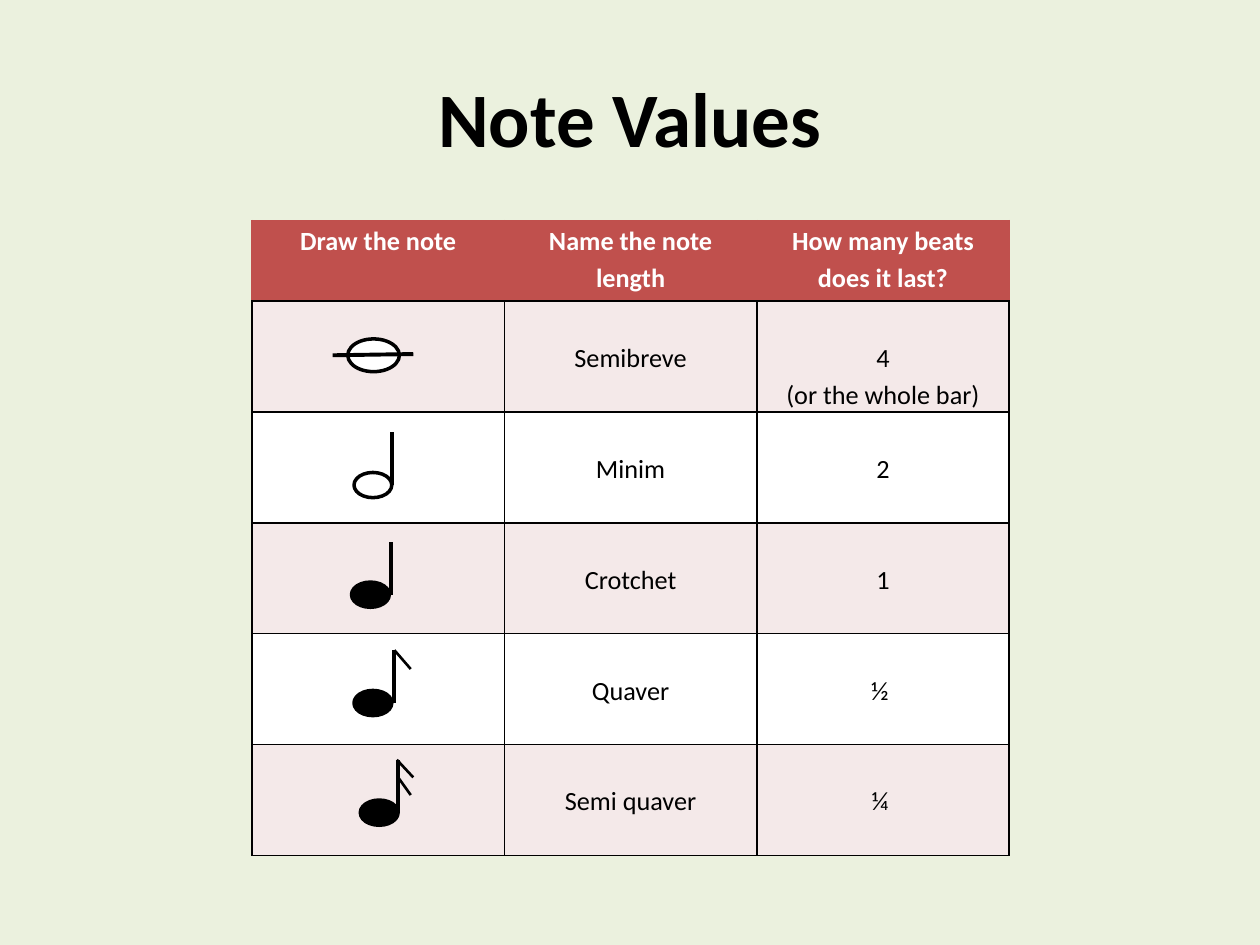
from dataclasses import dataclass

from lxml import etree
from pptx import Presentation
from pptx.dml.color import RGBColor
from pptx.enum.shapes import MSO_CONNECTOR, MSO_SHAPE
from pptx.enum.text import MSO_ANCHOR, PP_ALIGN
from pptx.oxml.ns import qn
from pptx.util import Inches, Pt

ELLIPSE = MSO_SHAPE.OVAL
STRAIGHT = MSO_CONNECTOR.STRAIGHT
CENTER = PP_ALIGN.CENTER
MIDDLE = MSO_ANCHOR.MIDDLE

FONT = "Calibri"
COLORS = {
    "background": "EBF1DE",
    "header": "C0504D",
    "band": "F4E9E9",
    "white": "FFFFFF",
    "black": "000000",
}
HEADERS = ["Draw the note", "Name the note length", "How many beats does it last?"]
NOTE_ROWS = [
    ("Semibreve", ["4", "(or the whole bar)"]),
    ("Minim", ["2"]),
    ("Crotchet", ["1"]),
    ("Quaver", ["½ "]),
    ("Semi quaver", ["¼ "]),
]
TABLE_LEFT, TABLE_TOP, TABLE_WIDTH = 2, 1.75, 6.01
HEADER_HEIGHT, ROW_HEIGHT = 0.64, 0.88
LINE_HEIGHT = 0.29
STEM_LENGTH = 0.42


@dataclass
class Line:
    x1: float
    y1: float
    x2: float
    y2: float
    weight: float


@dataclass
class Note:
    left: float
    top: float
    fill: str
    lines: list[Line]
    width: float = 0.3
    height: float = 0.2


def stem(x: float, y: float) -> Line:
    """Return an upright stem that starts at the middle of a note head."""
    return Line(x, y, x, y - STEM_LENGTH, 2.25)


NOTES = [
    Note(2.76, 2.69, "white", [Line(2.64, 2.82, 3.28, 2.81, 2.25)], 0.41, 0.26),
    Note(2.81, 3.75, "white", [stem(3.11, 3.85)]),
    Note(2.79, 4.62, "black", [stem(3.1, 4.72)]),
    Note(2.81, 5.48, "black", [stem(3.13, 5.58), Line(3.13, 5.16, 3.26, 5.31, 1.5)]),
    Note(2.86, 6.35, "black", [
        stem(3.16, 6.45),
        Line(3.15, 6.03, 3.28, 6.17, 1.5),
        Line(3.16, 6.17, 3.26, 6.31, 1.5),
    ]),
]


def rgb(name: str) -> RGBColor:
    return RGBColor.from_string(COLORS[name])


def add_text(tf, lines: list[str], size: float, color: str, bold: bool,
             spacing: float = 1.0) -> None:
    for i, text in enumerate(lines):
        p = tf.add_paragraph() if i else tf.paragraphs[0]
        p.alignment = CENTER
        p.line_spacing = spacing
        r = p.add_run()
        r.text = text
        r.font.name = FONT
        r.font.size = Pt(size)
        r.font.bold = bold
        r.font.color.rgb = rgb(color)


def set_borders(cell, sides: dict[str, str]) -> None:
    """Add 1 pt borders, ahead of the cell fill as the schema asks."""
    props = cell._tc.get_or_add_tcPr()
    for i, (side, color) in enumerate(sides.items()):
        ln = etree.Element(qn(f"a:ln{side}"), w=str(Pt(1)))
        fill = etree.SubElement(ln, qn("a:solidFill"))
        etree.SubElement(fill, qn("a:srgbClr"), val=COLORS[color])
        props.insert(i, ln)


def style_cell(cell, fill: str, border: str, top_margin: float) -> None:
    cell.margin_left = cell.margin_right = Inches(0.07)
    cell.margin_top, cell.margin_bottom = Inches(top_margin), 0
    cell.fill.solid()
    cell.fill.fore_color.rgb = rgb(fill)
    set_borders(cell, {"L": border, "R": border, "T": border, "B": "black"})


def add_note_table(s) -> None:
    height = HEADER_HEIGHT + ROW_HEIGHT * len(NOTE_ROWS)
    table = s.shapes.add_table(
        len(NOTE_ROWS) + 1, len(HEADERS), Inches(TABLE_LEFT), Inches(TABLE_TOP),
        Inches(TABLE_WIDTH), Inches(height)).table
    table.first_row = table.horz_banding = False
    for i, row in enumerate(table.rows):
        row.height = Inches(ROW_HEIGHT if i else HEADER_HEIGHT)
    for cell, text in zip(table.rows[0].cells, HEADERS):
        style_cell(cell, "header", "header", 0)
        add_text(cell.text_frame, [text], 15, "white", True, 1.15)
    for i, (name, beats) in enumerate(NOTE_ROWS, start=1):
        for cell, lines in zip(table.rows[i].cells, ([], [name], beats)):
            style_cell(cell, "band" if i % 2 else "white", "black", LINE_HEIGHT)
            add_text(cell.text_frame, lines, 15, "black", False, 1.15)


def add_line(s, line: Line) -> None:
    c = s.shapes.add_connector(STRAIGHT, Inches(line.x1), Inches(line.y1),
                               Inches(line.x2), Inches(line.y2))
    c.line.color.rgb = rgb("black")
    c.line.width = Pt(line.weight)
    etree.SubElement(c._element.spPr, qn("a:effectLst"))


def add_note(s, note: Note) -> None:
    head = s.shapes.add_shape(ELLIPSE, Inches(note.left), Inches(note.top),
                              Inches(note.width), Inches(note.height))
    head.shadow.inherit = False
    head.fill.solid()
    head.fill.fore_color.rgb = rgb(note.fill)
    head.line.color.rgb = rgb("black")
    head.line.width = Pt(2)
    for line in note.lines:
        add_line(s, line)


def main() -> None:
    prs = Presentation()
    prs.slide_width, prs.slide_height = Inches(10), Inches(7.5)
    s = prs.slides.add_slide(prs.slide_layouts[6])
    s.background.fill.solid()
    s.background.fill.fore_color.rgb = rgb("background")

    title = s.shapes.add_textbox(Inches(0.5), Inches(0.3), Inches(9), Inches(1.25))
    tf = title.text_frame
    tf.word_wrap = True
    tf.vertical_anchor = MIDDLE
    add_text(tf, ["Note Values"], 44, "black", True)

    add_note_table(s)
    for note in NOTES:
        add_note(s, note)
    prs.save("out.pptx")


if __name__ == "__main__":
    main()
